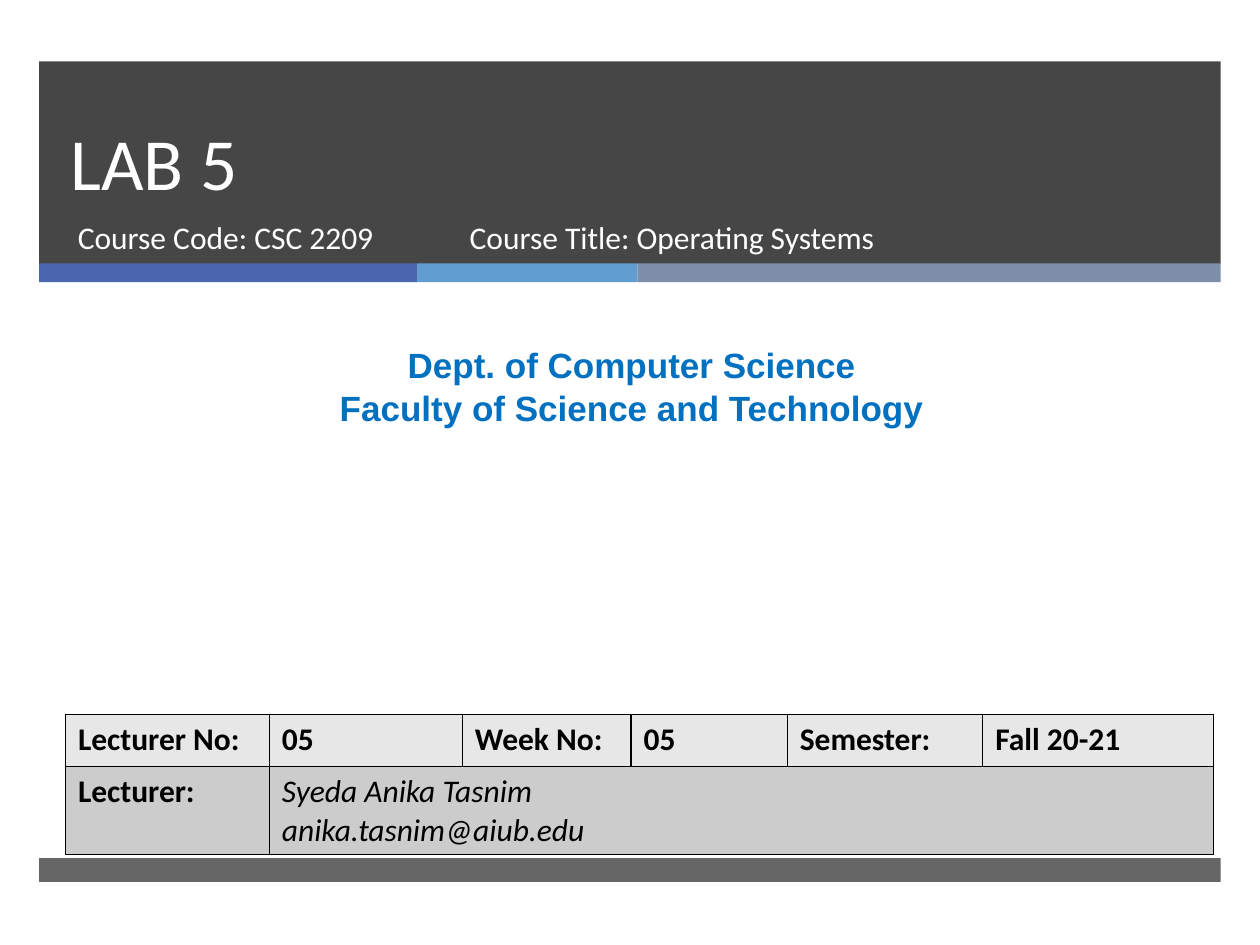
import pptx
import pptx.dml.color
import pptx.enum.shapes
import pptx.enum.text
import pptx.oxml
import pptx.oxml.ns
import pptx.util
from pptx.util import Cm

THEME = {
    "dark": "262626", "blue": "4A66AC", "sky": "629DD1", "slate": "7F8FA9",
    "white": "FFFFFF", "black": "000000", "dept": "0070C0",
    "head": "E7E7E7", "body": "CCCCCC",
    "title": 42, "large": 20, "text": 18,
    "sans": "Calibri", "arial": "Arial",
}
NS = pptx.oxml.ns.nsdecls("a")


def rgb(name):
    return pptx.dml.color.RGBColor.from_string(THEME[name])


def style(frame, size, color, font="sans", bold=False, italic=False):
    for para in frame.paragraphs:
        for run in para.runs:
            run.font.name = THEME[font]
            run.font.size = pptx.util.Pt(THEME[size])
            run.font.color.rgb = rgb(color)
            run.font.bold = bold
            run.font.italic = italic


deck = pptx.Presentation()
deck.slide_width, deck.slide_height = Cm(25.4), Cm(19.05)
slide = deck.slides.add_slide(deck.slide_layouts[6])

# Banner, colour strip and footer bar: left, top, width, height, colour, opacity
bars = [
    (0.79, 1.24, 23.82, 4.09, "dark", 85),
    (0.79, 5.31, 7.62, 0.38, "blue", 100),
    (8.41, 5.31, 4.44, 0.38, "sky", 100),
    (12.85, 5.31, 11.76, 0.38, "slate", 100),
    (0.79, 17.3, 23.82, 0.48, "dark", 70),
]
for left, top, width, height, color, alpha in bars:
    bar = slide.shapes.add_shape(
        pptx.enum.shapes.MSO_SHAPE.RECTANGLE,
        Cm(left), Cm(top), Cm(width), Cm(height))
    bar.shadow.inherit = False
    bar.fill.solid()
    bar.fill.fore_color.rgb = rgb(color)
    bar.line.fill.background()
    if alpha < 100:
        tint = bar.fill._xPr.find(".//" + pptx.oxml.ns.qn("a:srgbClr"))
        tint.append(pptx.oxml.parse_xml(f'<a:alpha {NS} val="{alpha * 1000}"/>'))

# Title, course lines and department
texts = [
    (1.17, 1.24, 21.69, 3.02, "LAB 5", "title", "white", "sans", False),
    (1.32, 4.27, 7.75, 1.35, "Course Code: CSC 2209", "text", "white", "sans", False),
    (9.22, 4.27, 11.56, 1.35, "Course Title: Operating Systems",
     "text", "white", "sans", False),
    (0.2, 6.81, 25.07, 1.96,
     "Dept. of Computer Science\nFaculty of Science and Technology",
     "large", "dept", "arial", True),
]
for left, top, width, height, words, size, color, font, bold in texts:
    box = slide.shapes.add_textbox(Cm(left), Cm(top), Cm(width), Cm(height))
    frame = box.text_frame
    frame.word_wrap = True
    frame.text = words
    style(frame, size, color, font, bold)
    if size == "title":
        frame.vertical_anchor = pptx.enum.text.MSO_ANCHOR.BOTTOM
        frame.paragraphs[0].line_spacing = pptx.util.Pt(46)
    if size == "large":
        for para in frame.paragraphs:
            para.alignment = pptx.enum.text.PP_ALIGN.CENTER

# Lecture table
rows = [
    ["Lecturer No:", "05", "Week No:", "05", "Semester:", "Fall 20-21"],
    ["Lecturer:", "Syeda Anika Tasnim\nanika.tasnim@aiub.edu", "", "", "", ""],
]
widths = [4.11, 3.89, 3.4, 3.15, 3.94, 4.65]
heights = [1.05, 1.78]
grid = slide.shapes.add_table(
    len(rows), len(widths), Cm(1.32), Cm(14.4),
    Cm(sum(widths)), Cm(sum(heights))).table
for col, width in zip(grid.columns, widths):
    col.width = Cm(width)
for row, height in zip(grid.rows, heights):
    row.height = Cm(height)
grid.cell(1, 1).merge(grid.cell(1, 5))

for r, row in enumerate(rows):
    for c, words in enumerate(row):
        cell = grid.cell(r, c)
        props = cell._tc.get_or_add_tcPr()
        for side in "LRTB":
            props.append(pptx.oxml.parse_xml(
                f'<a:ln{side} {NS} w="12700"><a:solidFill>'
                f'<a:srgbClr val="{THEME["black"]}"/></a:solidFill></a:ln{side}>'))
        cell.fill.solid()
        cell.fill.fore_color.rgb = rgb("body" if r else "head")
        if words:
            name = r == 1 and c == 1
            cell.text_frame.text = words
            style(cell.text_frame, "text", "black", bold=not name, italic=name)

deck.save("out.pptx")
